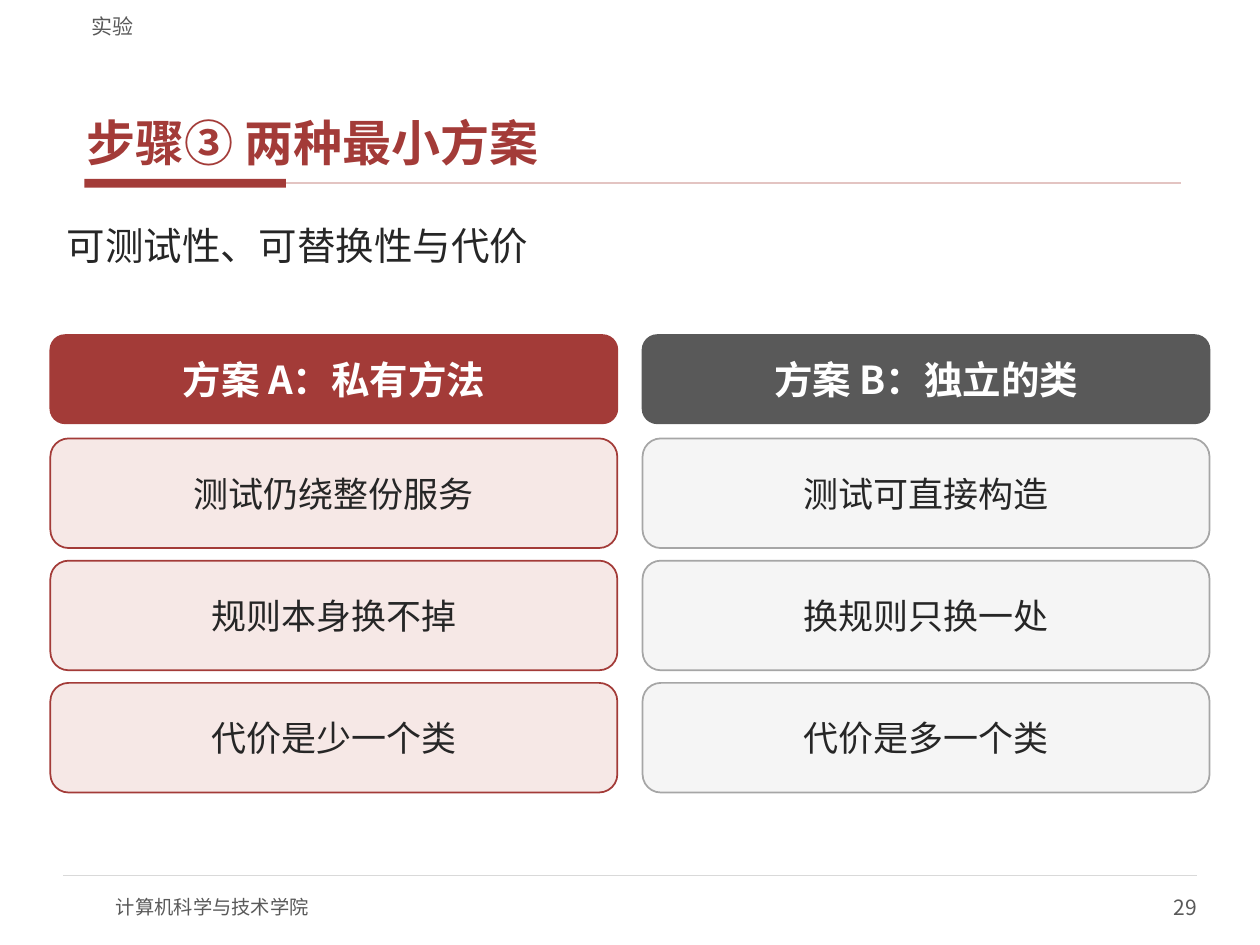
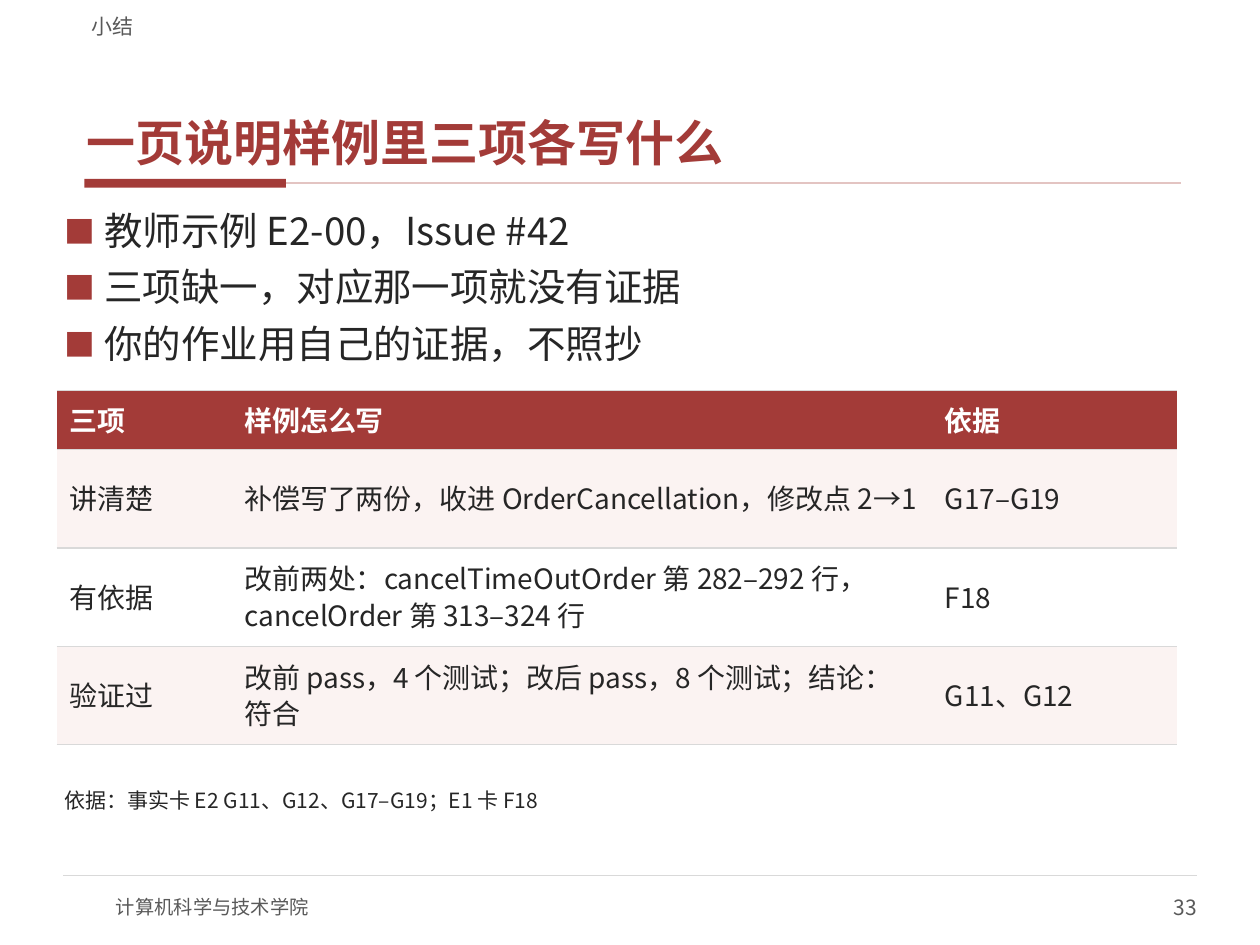
from lxml import etree
from pptx import Presentation
from pptx.dml.color import RGBColor
from pptx.enum import shapes, text
from pptx.oxml import ns
from pptx.util import Inches, Pt

# Shared look
FONT = "Noto Sans CJK SC"
RED = RGBColor(0xA3, 0x3B, 0x38)
ROSE = RGBColor(0xE3, 0xC4, 0xC2)
PINK = RGBColor(0xF6, 0xE8, 0xE6)
BLUSH = RGBColor(0xFB, 0xF3, 0xF2)
INK = RGBColor(0x26, 0x26, 0x26)
DARK = RGBColor(0x59, 0x59, 0x59)
MID = RGBColor(0xA6, 0xA6, 0xA6)
RULE = RGBColor(0xD9, 0xD9, 0xD9)
PALE = RGBColor(0xF5, 0xF5, 0xF5)
WHITE = RGBColor(0xFF, 0xFF, 0xFF)
LEFT, CENTER, RIGHT = text.PP_ALIGN.LEFT, text.PP_ALIGN.CENTER, text.PP_ALIGN.RIGHT
TOP, MIDDLE, BOTTOM = text.MSO_ANCHOR.TOP, text.MSO_ANCHOR.MIDDLE, text.MSO_ANCHOR.BOTTOM


def frame(sp, anchor, side=0.0, edge=0.0):
    """Set wrapping, anchor and insets; return the text frame."""
    tf = sp.text_frame
    tf.word_wrap = True
    tf.auto_size = text.MSO_AUTO_SIZE.NONE
    tf.vertical_anchor = anchor
    tf.margin_left = tf.margin_right = Inches(side)
    tf.margin_top = tf.margin_bottom = Inches(edge)
    return tf


def write(tf, lines, size, color, bold=False, align=LEFT, before=0, after=0):
    """Write one paragraph per line of text."""
    for i, line in enumerate(lines):
        p = tf.paragraphs[0] if i == 0 else tf.add_paragraph()
        p.alignment = align
        p.space_before = Pt(before if i else 0)
        p.space_after = Pt(after)
        r = p.add_run()
        r.text = line
        r.font.name = FONT
        r.font.size = Pt(size)
        r.font.bold = bold
        r.font.color.rgb = color
        ea = etree.SubElement(r._r.get_or_add_rPr(), ns.qn("a:ea"))
        ea.set("typeface", FONT)


prs = Presentation()
prs.slide_width, prs.slide_height = Inches(10), Inches(7.5)

# Title, section label, rules and footer of every slide
slides = []
for section, title, page in [
    ("实验", "步骤③ 两种最小方案", "29"),
    ("小结", "一页说明样例里三项各写什么", "33"),
]:
    s = prs.slides.add_slide(prs.slide_layouts[1])
    slides.append(s)
    sp = s.shapes.title
    sp.left, sp.top, sp.width, sp.height = map(Inches, (0.63, 0.33, 8.75, 1.05))
    write(frame(sp, BOTTOM, 0.06, 0.02), [title], 28, RED, bold=True, after=2)

    bar = s.shapes.add_shape(shapes.MSO_SHAPE.RECTANGLE,
                             *map(Inches, (0.67, 1.42, 1.6, 0.07)))
    bar.shadow.inherit = False
    bar.fill.solid()
    bar.fill.fore_color.rgb = RED
    bar.line.fill.background()

    bar_mid = bar.top + bar.height // 2
    for x1, x2, y, color, width in [
        (2.27, 9.37, bar_mid, ROSE, 1),
        (0.5, 9.5, Inches(6.95), RULE, 0.75),
    ]:
        line = s.shapes.add_connector(shapes.MSO_CONNECTOR.STRAIGHT,
                                      Inches(x1), y, Inches(x2), y)
        line.line.color.rgb = color
        line.line.width = Pt(width)
        etree.SubElement(line._element.spPr, ns.qn("a:effectLst"))
        if y == bar_mid:
            line.begin_connect(bar, 3)

    for words, box, size, align, anchor, side in [
        (section, (0.63, 0.04, 8.75, 0.27), 12, LEFT, BOTTOM, 0.1),
        ("计算机科学与技术学院", (0.92, 7, 4, 0.4), 11, LEFT, MIDDLE, 0),
        (page, (7.5, 7, 2, 0.4), 12, RIGHT, MIDDLE, 0),
    ]:
        sp = s.shapes.add_textbox(*map(Inches, box))
        write(frame(sp, anchor, side), [words], size, DARK, align=align)

# Slide 1: lead sentence
s = slides[0]
sp = s.placeholders[1]
sp.left, sp.top, sp.width, sp.height = map(Inches, (0.45, 1.72, 9.1, 0.86))
tf = frame(sp, TOP, 0.08, 0.04)
pPr = tf.paragraphs[0]._p.get_or_add_pPr()
pPr.set("marL", "0")
pPr.set("indent", "0")
etree.SubElement(pPr, ns.qn("a:buNone"))
write(tf, ["可测试性、可替换性与代价"], 22, INK)

# Slide 1: two columns of cards, heading on top
plans = [
    (RED, PINK, RED, ["方案 A：私有方法", "测试仍绕整份服务", "规则本身换不掉", "代价是少一个类"]),
    (DARK, PALE, MID, ["方案 B：独立的类", "测试可直接构造", "换规则只换一处", "代价是多一个类"]),
]
for col, (head, fill, edge, cards) in enumerate(plans):
    for row, words in enumerate(cards):
        is_head = row == 0
        y, h = (2.66, 0.7) if is_head else (3.48 + 0.97 * (row - 1), 0.87)
        sp = s.shapes.add_shape(shapes.MSO_SHAPE.ROUNDED_RECTANGLE,
                                *map(Inches, (0.4 + 4.7 * col, y, 4.5, h)))
        sp.shadow.inherit = False
        sp.fill.solid()
        sp.fill.fore_color.rgb = head if is_head else fill
        sp.line.color.rgb = head if is_head else edge
        sp.line.width = Pt(1)
        write(frame(sp, MIDDLE, 0.08, 0.04), [words], 22 if is_head else 20,
              WHITE if is_head else INK, bold=is_head, align=CENTER)

# Slide 2: bullet list
s = slides[1]
sp = s.placeholders[1]
sp.left, sp.top, sp.width, sp.height = map(Inches, (0.45, 1.62, 9.1, 1.37))
tf = frame(sp, TOP, 0.06, 0.02)
write(tf, ["教师示例 E2-00，Issue #42", "三项缺一，对应那一项就没有证据", "你的作业用自己的证据，不照抄"],
      22, INK, before=4, after=2)
for p in tf.paragraphs:
    pPr = p._p.get_or_add_pPr()
    pPr.set("marL", str(Inches(0.32)))
    pPr.set("indent", str(-Inches(0.32)))
    color = etree.SubElement(pPr, ns.qn("a:buClr"))
    etree.SubElement(color, ns.qn("a:srgbClr")).set("val", str(RED))
    for tag, key, val in [("a:buSzPct", "val", "80000"), ("a:buFont", "typeface", FONT),
                          ("a:buChar", "char", "■")]:
        etree.SubElement(pPr, ns.qn(tag)).set(key, val)

# Slide 2: evidence table
rows = [
    ("三项", "样例怎么写", "依据"),
    ("讲清楚", "补偿写了两份，收进 OrderCancellation，修改点 2→1", "G17–G19"),
    ("有依据", "改前两处：cancelTimeOutOrder 第 282–292 行，cancelOrder 第 313–324 行", "F18"),
    ("验证过", "改前 pass，4 个测试；改后 pass，8 个测试；结论：符合", "G11、G12"),
]
table = s.shapes.add_table(4, 3, *map(Inches, (0.45, 3.1, 8.89, 2.81))).table
table.horz_banding = False
for column, width in zip(table.columns, (1.39, 5.56, 1.94)):
    column.width = Inches(width)
for i, words in enumerate(rows):
    table.rows[i].height = Inches(0.78 if i else 0.47)
    for j, word in enumerate(words):
        cell = table.cell(i, j)
        cell.vertical_anchor = MIDDLE
        tcPr = cell._tc.get_or_add_tcPr()
        for side in ("L", "R", "T", "B"):
            ln = etree.SubElement(tcPr, ns.qn("a:ln" + side))
            ln.set("w", str(Pt(0.75)))
            if side in "LR":
                etree.SubElement(ln, ns.qn("a:noFill"))
            else:
                fill = etree.SubElement(ln, ns.qn("a:solidFill"))
                etree.SubElement(fill, ns.qn("a:srgbClr")).set("val", str(RULE))
        cell.fill.solid()
        cell.fill.fore_color.rgb = RED if i == 0 else BLUSH if i % 2 else WHITE
        write(cell.text_frame, [word], 16, INK if i else WHITE, bold=i == 0, after=2)
        cell.text_frame.paragraphs[0].line_spacing = 0.9

# Slide 2: source note
sp = s.shapes.add_textbox(*map(Inches, (0.45, 6.23, 9.1, 0.32)))
write(frame(sp, TOP, 0.06, 0.02), ["依据：事实卡 E2 G11、G12、G17–G19；E1 卡 F18"], 12, INK, after=2)

prs.save("out.pptx")
